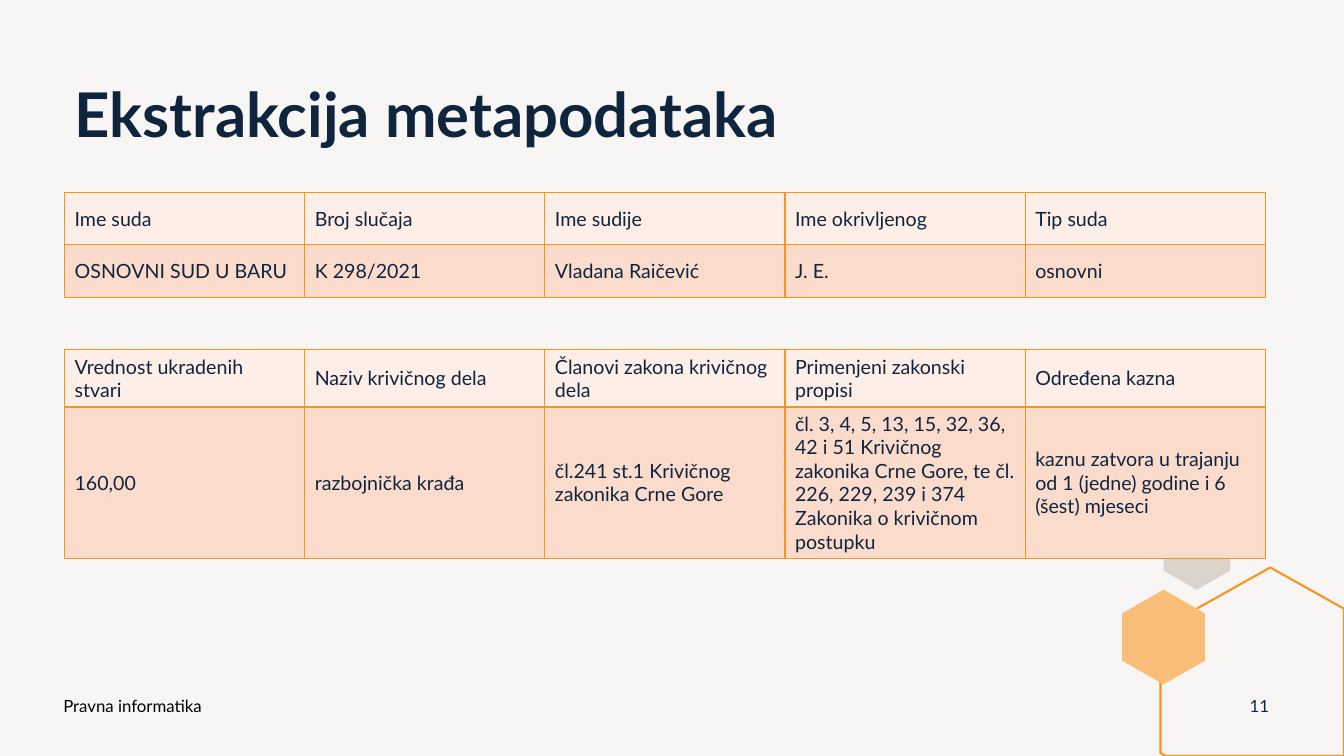
from dataclasses import dataclass

from lxml import etree
from pptx import Presentation
from pptx import util as u
from pptx.dml.color import RGBColor
from pptx.enum import text
from pptx.oxml import ns


@dataclass
class Theme:
    """Colours, font and type sizes."""
    back: str = "F8F6F5"
    ink: str = "0F253E"
    black: str = "000000"
    gold: str = "F79320"
    amber: str = "FABE79"
    stone: str = "DCD3CC"
    head: str = "FDEEE7"
    body: str = "FBDCCC"
    face: str = "Lato"
    large: int = 44
    mid: int = 14
    small: int = 12
    edge: float = 0.96


def apply(item, values):
    """Set each named value on the item."""
    for name, value in values.items():
        setattr(item, name, value)


def paint(fill, color):
    """Make a fill solid in one colour."""
    fill.solid()
    fill.fore_color.rgb = RGBColor.from_string(color)


def hexagon(left, top, width, height):
    """Return the corners of an upright hexagon."""
    steps = [(0.5, 0), (1, 0.25), (1, 0.75), (0.5, 1), (0, 0.75), (0, 0.25)]
    return [(left + x * width, top + y * height) for x, y in steps]


class Page:
    """Draws elements on one slide in one style."""

    def __init__(self, slide, theme):
        """Keep the slide and theme and paint the background."""
        self.slide, self.theme = slide, theme
        paint(slide.background.fill, theme.back)

    def letter(self, frame, words, size, color, bold=False, **form):
        """Fill a text frame with one styled paragraph."""
        frame.text = words
        para = frame.paragraphs[0]
        apply(para, form)
        apply(para.font, {"name": self.theme.face, "size": u.Pt(size), "bold": bold})
        para.font.color.rgb = RGBColor.from_string(color)

    def title(self, words, box):
        """Place and format the title."""
        shape = self.slide.shapes.title
        apply(shape, dict(zip(("left", "top", "width", "height"), map(u.Inches, box))))
        apply(shape.text_frame, {"word_wrap": True, "auto_size": text.MSO_AUTO_SIZE.NONE,
                                 "vertical_anchor": text.MSO_ANCHOR.TOP})
        self.letter(shape.text_frame, words, self.theme.large, self.theme.ink, True,
                    alignment=text.PP_ALIGN.LEFT, line_spacing=0.9)

    def label(self, words, box, color, align):
        """Add a small line of text."""
        frame = self.slide.shapes.add_textbox(*map(u.Inches, box)).text_frame
        apply(frame, {"word_wrap": True, "vertical_anchor": text.MSO_ANCHOR.MIDDLE})
        self.letter(frame, words, self.theme.small, color, alignment=align)

    def outline(self, points, fill=None, line=None):
        """Add a closed polygon."""
        spots = [(u.Inches(x), u.Inches(y)) for x, y in points]
        maker = self.slide.shapes.build_freeform(*spots[0])
        maker.add_line_segments(spots[1:], close=True)
        shape = maker.convert_to_shape()
        shape.shadow.inherit = False
        if fill:
            paint(shape.fill, fill)
        else:
            shape.fill.background()
        if line:
            paint(shape.line.fill, line)
            shape.line.width = u.Pt(1.5)
        else:
            shape.line.fill.background()

    def border(self, cell):
        """Draw all four edges of a cell."""
        props = cell._tc.get_or_add_tcPr()
        for side in "LRTB":
            edge = etree.SubElement(props, ns.qn(f"a:ln{side}"), w=str(u.Pt(self.theme.edge)))
            solid = etree.SubElement(edge, ns.qn("a:solidFill"))
            etree.SubElement(solid, ns.qn("a:srgbClr"), val=self.theme.gold)

    def table(self, rows, top):
        """Add a table with a pale head row and a darker value row."""
        box = (0.64, top, 11.91, 0.52 * len(rows))
        grid = self.slide.shapes.add_table(len(rows), len(rows[0]), *map(u.Inches, box)).table
        for r, row in enumerate(rows):
            for c, words in enumerate(row):
                cell = grid.cell(r, c)
                cell.vertical_anchor = text.MSO_ANCHOR.MIDDLE
                self.border(cell)
                paint(cell.fill, self.theme.body if r else self.theme.head)
                self.letter(cell.text_frame, words, self.theme.mid, self.theme.ink,
                            space_after=u.Pt(6))


COURT = [
    ["Ime suda", "Broj slučaja", "Ime sudije", "Ime okrivljenog", "Tip suda"],
    ["OSNOVNI SUD U BARU", "K 298/2021", "Vladana Raičević", "J. E.", "osnovni"],
]
CRIME = [
    ["Vrednost ukradenih stvari", "Naziv krivičnog dela", "Članovi zakona krivičnog dela",
     "Primenjeni zakonski propisi", "Određena kazna"],
    ["160,00", "razbojnička krađa", "čl.241 st.1 Krivičnog zakonika Crne Gore",
     "čl. 3, 4, 5, 13, 15, 32, 36, 42 i 51 Krivičnog zakonika Crne Gore, "
     "te čl. 226, 229, 239 i 374 Zakonika o krivičnom postupku",
     "kaznu zatvora u trajanju od 1 (jedne) godine i 6 (šest) mjeseci"],
]
FRAME = [(12.6, 5.63), (13.33, 6.04), (13.33, 7.5), (11.56, 7.5), (11.51, 7.47), (11.51, 6.24)]


def main():
    """Build and save the slide."""
    deck = Presentation()
    apply(deck, {"slide_width": u.Inches(13.33), "slide_height": u.Inches(7.5)})
    theme = Theme()
    page = Page(deck.slides.add_slide(deck.slide_layouts[5]), theme)
    page.outline(hexagon(11.54, 5.1, 0.66, 0.75), fill=theme.stone)
    page.outline(FRAME, line=theme.gold)
    page.outline(hexagon(11.13, 5.85, 0.82, 0.94), fill=theme.amber)
    page.title("Ekstrakcija metapodataka", (0.64, 0.79, 11.91, 1.55))
    page.table(COURT, 1.91)
    page.table(CRIME, 3.47)
    page.label("Pravna informatika", (0.53, 6.8, 4.5, 0.4), theme.black, text.PP_ALIGN.LEFT)
    page.label("11", (12.24, 6.8, 0.5, 0.4), theme.ink, text.PP_ALIGN.CENTER)
    deck.save("out.pptx")


if __name__ == "__main__":
    main()
